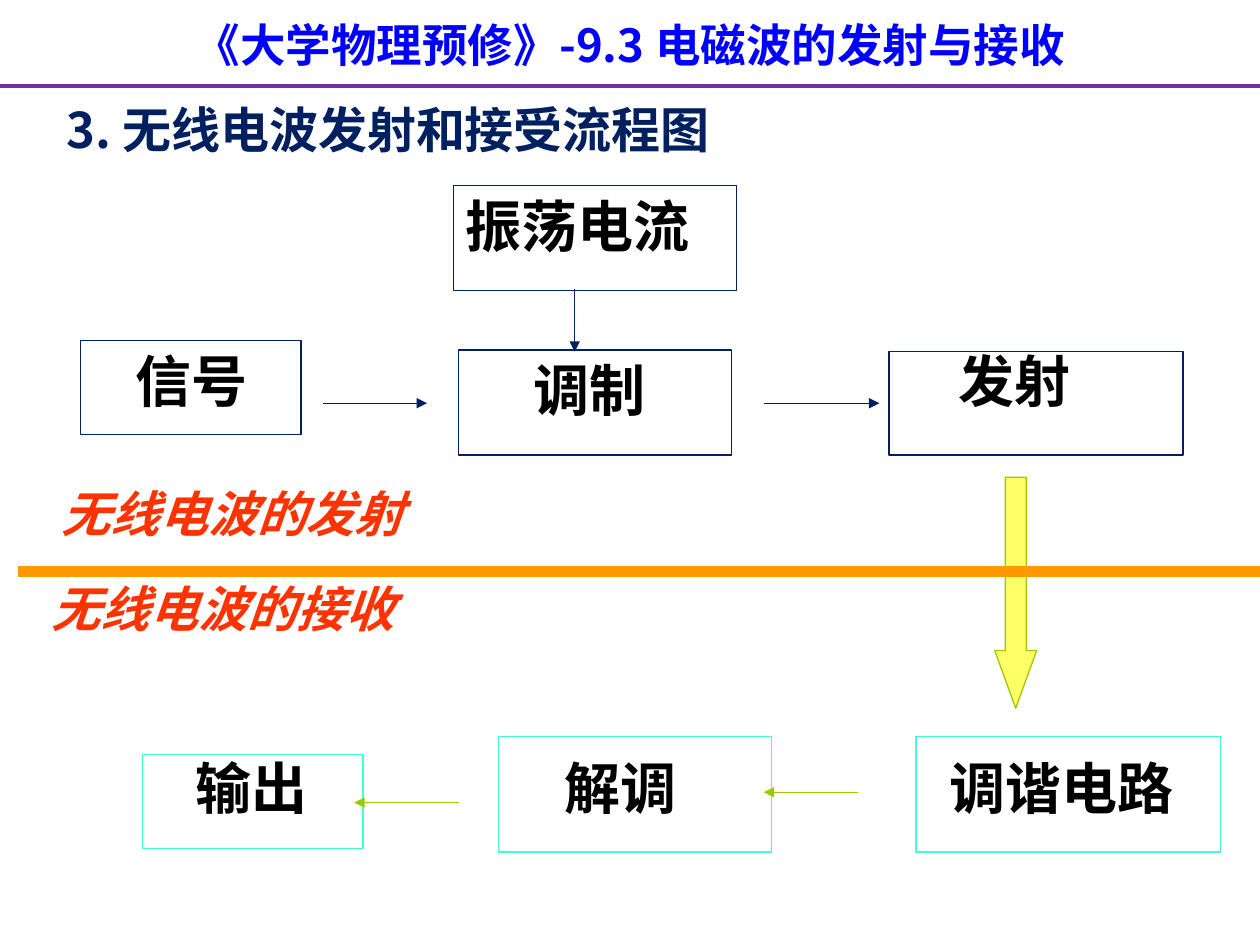
from lxml import etree
from pptx import Presentation
from pptx.dml.color import RGBColor
from pptx.enum.shapes import MSO_CONNECTOR, MSO_SHAPE
from pptx.enum.text import MSO_AUTO_SIZE, PP_ALIGN
from pptx.oxml.ns import qn
from pptx.util import Pt

STRAIGHT = MSO_CONNECTOR.STRAIGHT
RECT, DOWN = MSO_SHAPE.RECTANGLE, MSO_SHAPE.DOWN_ARROW
CENTER = PP_ALIGN.CENTER
GROW = MSO_AUTO_SIZE.SHAPE_TO_FIT_TEXT
FONT = "Noto Sans CJK SC"
COLORS = {"title": "0000FF", "rule": "7030A0", "send": "002060",
          "receive": "43FFCE", "green": "99CC00", "yellow": "FFFF66",
          "divider": "FF9900", "section": "FF3300", "text": "000000"}

TITLE = "《大学物理预修》-9.3 电磁波的发射与接收"
HEADING = "3. 无线电波发射和接受流程图"
# label, frame (left, top, width, height), label (left, top, width), wrap, color
STAGES = [
    ("信号", (46, 194.4, 126, 54), (70.5, 194.4, 91.5), True, "send"),
    ("调制", (262, 200, 156, 60), (298, 199.5, 79), False, "send"),
    ("振荡电流", (259, 106, 162, 60), (259, 106, 144), False, "send"),
    ("发射", (508, 201, 168, 59), (540.5, 194.4, 116), True, "send"),
    ("调谐电路", (523.5, 421, 174, 66), (535.5, 427, 144), False, "receive"),
    ("解调", (285, 421, 156, 66), (315.5, 427, 79), False, "receive"),
    ("输出", (81.4, 431, 126, 54), (104.4, 427, 79), False, "receive"),
]
ARROWS = [
    ((184.4, 230.4), (244, 230.4), "send"),
    ((328.4, 165), (328.4, 201), "send"),
    ((436.4, 230.4), (502.5, 230.4), "send"),
    ((490.4, 452.7), (436.4, 452.7), "green"),
    ((262.2, 458.6), (202.4, 458.6), "green"),
]
SECTIONS = [("无线电波的发射", 28, 273), ("无线电波的接收", 22.4, 327)]


def rgb(name):
    return RGBColor.from_string(COLORS[name])


def add_text(s, text, box, size, color, wrap=True, italic=False, align=None):
    tb = s.shapes.add_textbox(*map(Pt, box))
    tf = tb.text_frame
    tf.word_wrap = wrap
    tf.auto_size = GROW
    tf.text = text
    p = tf.paragraphs[0]
    p.alignment = align
    r = p.runs[0]
    r.font.size, r.font.bold, r.font.italic = Pt(size), True, italic
    r.font.name = FONT
    r.font.color.rgb = rgb(color)
    etree.SubElement(r.font._element, qn("a:ea")).set("typeface", FONT)


def add_shape(s, kind, box, line, fill=None):
    sp = s.shapes.add_shape(kind, *map(Pt, box))
    sp.shadow.inherit = False
    if fill:
        sp.fill.solid()
        sp.fill.fore_color.rgb = rgb(fill)
    else:
        sp.fill.background()
    sp.line.color.rgb = rgb(line)
    sp.line.width = Pt(0.75)
    return sp


def add_line(s, start, end, color, width=0.75, arrow=False):
    c = s.shapes.add_connector(STRAIGHT, *map(Pt, start + end))
    c.line.color.rgb = rgb(color)
    c.line.width = Pt(width)
    if arrow:
        etree.SubElement(c.line._get_or_add_ln(), qn("a:tailEnd")).set("type", "triangle")
    etree.SubElement(c._element.spPr, qn("a:effectLst"))


def main():
    prs = Presentation()
    prs.slide_width, prs.slide_height = Pt(720), Pt(540)
    s = prs.slides.add_slide(prs.slide_layouts[6])

    add_text(s, TITLE, (0, 6, 720, 39), 26, "title", align=CENTER)
    add_line(s, (0, 49), (720, 49), "rule", 2.25)
    add_text(s, HEADING, (31, 53.3, 390, 41), 28, "send")

    for label, frame, place, wrap, color in STAGES:
        add_shape(s, RECT, frame, color)
        add_text(s, label, place + (46,), 32, "text", wrap)
    for start, end, color in ARROWS:
        add_line(s, start, end, color, arrow=True)

    down = add_shape(s, DOWN, (568.4, 272.7, 24, 132), "green", "yellow")
    down.adjustments[0], down.adjustments[1] = 0.5, 1.375
    add_line(s, (10.4, 326.7), (730.4, 326.7), "divider", 6)
    for text, left, top in SECTIONS:
        add_text(s, text, (left, top, 213, 41), 28, "section", False, True)

    prs.save("out.pptx")


if __name__ == "__main__":
    main()
